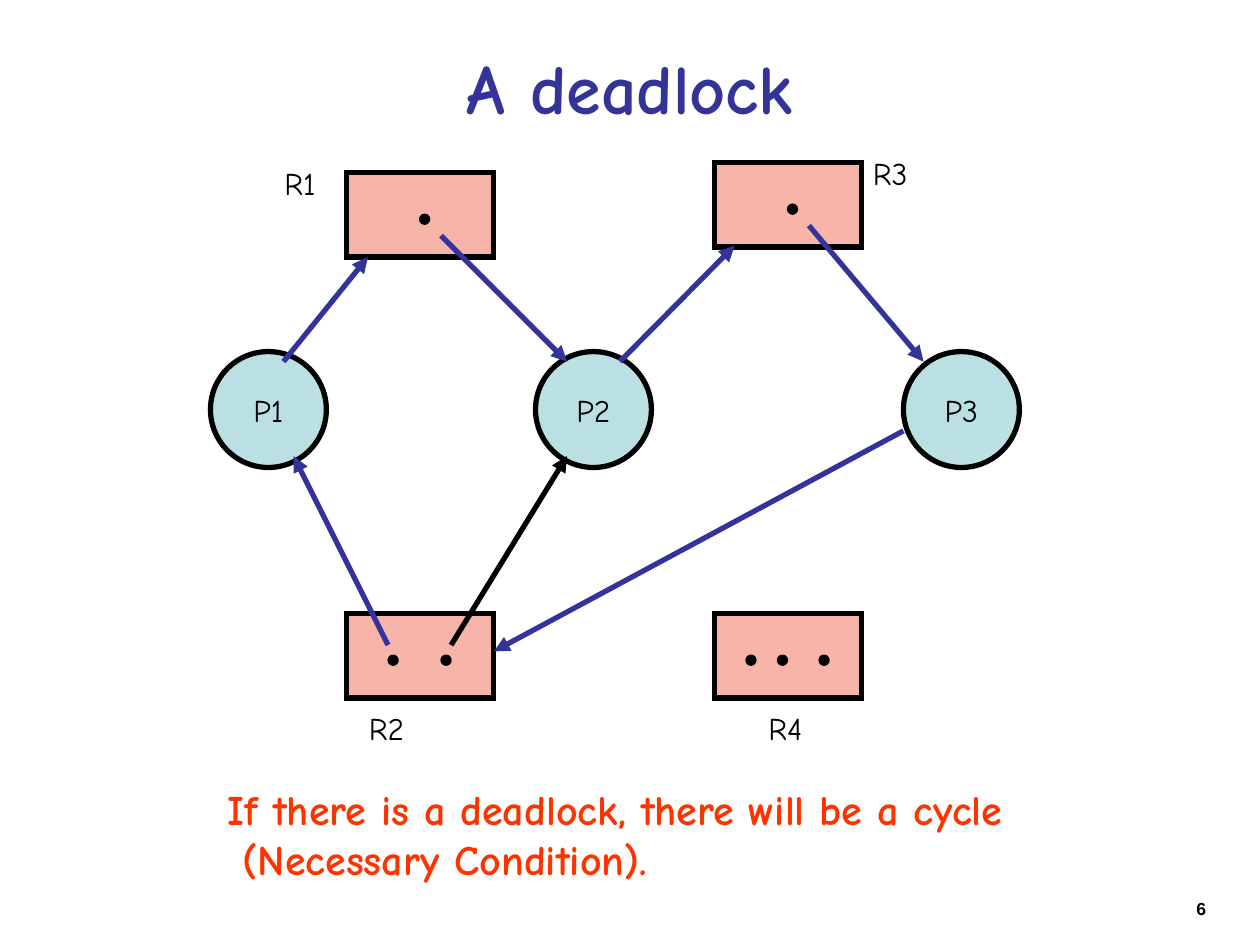
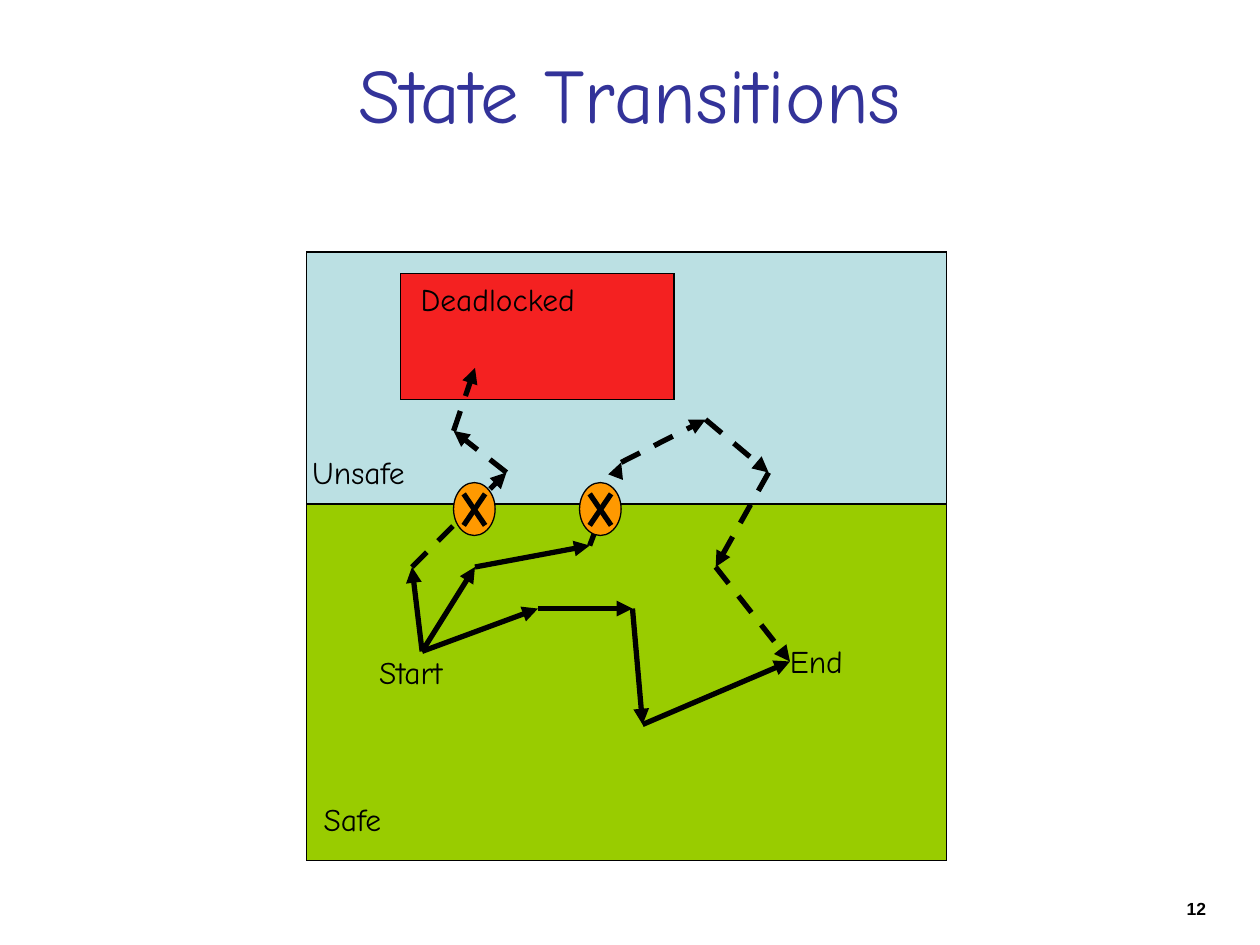
from itertools import pairwise
from pptx import Presentation
from pptx.dml.color import RGBColor
from pptx.enum.dml import MSO_LINE
from pptx.enum.shapes import MSO_CONNECTOR, MSO_SHAPE as SHAPE
from pptx.enum.text import MSO_ANCHOR, MSO_AUTO_SIZE, PP_ALIGN as ALIGN
from pptx.oxml.ns import qn
from pptx.util import Inches, Pt
from lxml.etree import SubElement

COLOURS = {"ink": "000000", "title": "333399", "process": "BBE0E3", "resource": "F6B5A8",
           "warning": "FF3300", "safe": "99CC00", "deadlock": "FF0000", "crossing": "FF9900"}
FONT = "Comic Neue"
THICK, THIN = 3, 0.74


def colour(name):
    """Return the named colour."""
    return RGBColor.from_string(COLOURS[name])


def write(paragraph, text, size, ink="ink", bold=False, font=FONT, align=None):
    """Add one formatted run to a paragraph."""
    paragraph.alignment = align
    run = paragraph.add_run()
    run.text = text
    run.font.name, run.font.size, run.font.bold = font, Pt(size), bold
    run.font.color.rgb = colour(ink)


def add_figure(slide, kind, left, top, width, height, fill, weight=THIN):
    """Draw a filled preset shape with a sharp-cornered black outline."""
    figure = slide.shapes.add_shape(kind, Inches(left), Inches(top), Inches(width), Inches(height))
    figure.shadow.inherit = False
    figure.fill.solid()
    figure.fill.fore_color.rgb = colour(fill)
    figure.line.color.rgb = colour("ink")
    figure.line.width = Pt(weight)
    SubElement(figure.line._get_or_add_ln(), qn("a:miter"), lim="800000")
    return figure


def add_stroke(slide, start, end, ink="ink", dashed=False, arrow=True):
    """Draw a thick straight line, with an arrowhead at its end if asked."""
    stroke = slide.shapes.add_connector(MSO_CONNECTOR.STRAIGHT, *map(Inches, (*start, *end)))
    stroke.line.color.rgb = colour(ink)
    stroke.line.width = Pt(THICK)
    if dashed:
        stroke.line.dash_style = MSO_LINE.DASH
    if arrow:
        SubElement(stroke.line._get_or_add_ln(), qn("a:tailEnd"), type="triangle")
    SubElement(stroke._element.spPr, qn("a:effectLst"))


def add_label(slide, left, top, width, lines, height=0.4, size=18, **style):
    """Place unwrapped lines of text."""
    label = slide.shapes.add_textbox(Inches(left), Inches(top), Inches(width), Inches(height))
    frame = label.text_frame
    frame.word_wrap = False
    frame.auto_size = MSO_AUTO_SIZE.SHAPE_TO_FIT_TEXT
    for index, line in enumerate(lines):
        paragraph = frame.add_paragraph() if index else frame.paragraphs[0]
        write(paragraph, line, size, **style)


def add_titled_slide(deck, title, height, size, bold, number):
    """Start a slide with its title and page number."""
    slide = deck.slides.add_slide(deck.slide_layouts[5])
    heading = slide.shapes.title
    heading.left, heading.top = Inches(0.5), Inches(0.3)
    heading.width, heading.height = Inches(9), Inches(height)
    heading.text_frame.auto_size = MSO_AUTO_SIZE.NONE
    heading.text_frame.vertical_anchor = MSO_ANCHOR.MIDDLE
    write(heading.text_frame.paragraphs[0], title, size, "title", bold, align=ALIGN.CENTER)
    page = slide.shapes.add_textbox(Inches(7.25), Inches(7.08), Inches(2.42), Inches(0.25))
    page.text_frame.word_wrap = True
    write(page.text_frame.paragraphs[0], number, 10, bold=True, font="Arial", align=ALIGN.RIGHT)
    return slide


def add_process(slide, left, top, name):
    """Draw a process as a named circle."""
    circle = add_figure(slide, SHAPE.OVAL, left, top, 0.92, 0.92, "process", THICK)
    circle.text_frame.word_wrap = False
    circle.text_frame.vertical_anchor = MSO_ANCHOR.MIDDLE
    write(circle.text_frame.paragraphs[0], name, 18, align=ALIGN.CENTER)


def add_resource(slide, left, top, name, name_dx, name_dy, instances):
    """Draw a resource as a box with one dot for each instance."""
    add_figure(slide, SHAPE.RECTANGLE, left, top, 1.17, 0.67, "resource", THICK)
    for dx in instances:
        add_figure(slide, SHAPE.OVAL, left + dx, top + 0.33, 0.08, 0.08, "ink")
    add_label(slide, left + name_dx, top + name_dy, 0.5, [name])


def add_allocation_graph(slide, left, top):
    """Draw the processes, the resources and the requests between them."""
    for name, x in (("P1", 0.17), ("P2", 2.75), ("P3", 5.67)):
        add_process(slide, left + x, top + 1.79, name)
    resources = (
        (1.25, 0.37, "R1", -0.59, -0.12, (0.58,)),
        (4.17, 0.29, "R3", 1.16, -0.12, (0.58,)),
        (1.25, 3.87, "R2", 0.08, 0.71, (0.33, 0.75)),
        (4.17, 3.87, "R4", 0.33, 0.71, (0.25, 0.5, 0.83)))
    for x, y, *details in resources:
        add_resource(slide, left + x, top + y, *details)
    edges = (
        (0.75, 1.87, 1.42, 1.04, "title"), (2, 0.87, 3, 1.87, "title"),
        (3.42, 1.87, 4.33, 0.95, "title"), (4.92, 0.79, 5.83, 1.87, "title"),
        (2.08, 4.12, 3, 2.62, "ink"), (1.58, 4.12, 0.83, 2.62, "title"),
        (5.67, 2.42, 2.42, 4.17, "title"))
    for x1, y1, x2, y2, ink in edges:
        add_stroke(slide, (left + x1, top + y1), (left + x2, top + y2), ink)


def add_trail(slide, left, top, stops, solid_steps):
    """Draw a chain of arrows, dashed after the solid steps."""
    points = [(left + x, top + y) for x, y in stops]
    for step, (start, end) in enumerate(pairwise(points)):
        add_stroke(slide, start, end, dashed=step >= solid_steps)


def add_crossing(slide, left, top):
    """Mark a forbidden crossing with an X in an oval."""
    add_figure(slide, SHAPE.OVAL, left, top, 0.33, 0.42, "crossing")
    for x1, x2 in ((0.08, 0.25), (0.25, 0.08)):
        add_stroke(slide, (left + x1, top + 0.09), (left + x2, top + 0.34), arrow=False)


def add_state_map(slide, left, top, width, height):
    """Draw the safe, unsafe and deadlocked regions and the trails through them."""
    border = 2
    add_figure(slide, SHAPE.RECTANGLE, left, top, width, height, "process")
    add_figure(slide, SHAPE.RECTANGLE, left, top + border, width, height - border, "safe")
    deadlock = add_figure(slide, SHAPE.RECTANGLE, left + 0.75, top + 0.17, 2.17, 1, "deadlock")
    tint = deadlock._element.spPr.find(qn("a:solidFill"))[0]
    SubElement(tint, qn("a:alpha"), val="85000")
    for name, x, y, name_width in (
            ("Safe", 0.04, 4.3, 0.66), ("Unsafe", -0.05, 1.55, 0.94),
            ("Deadlocked", 0.81, 0.17, 1.43), ("Start", 0.48, 3.13, 0.71),
            ("End", 3.74, 3.05, 0.62)):
        add_label(slide, left + x, top + y, name_width, [name])
    start, end = (0.92, 3.17), (3.84, 3.25)
    trails = (
        ((start, (1.84, 2.83), (2.59, 2.83), (2.67, 3.75), end), 4),
        ((start, (0.84, 2.5), (1.59, 1.75), (1.17, 1.42), (1.34, 0.92)), 1),
        ((start, (1.34, 2.5), (2.25, 2.33), (2.5, 1.67), (3.17, 1.33),
          (3.67, 1.75), (3.25, 2.5), end), 2))
    for stops, solid_steps in trails:
        add_trail(slide, left, top, stops, solid_steps)
    for x in (1.17, 2.17):
        add_crossing(slide, left + x, top + border - 0.17)


def main():
    """Build and save the two slides."""
    deck = Presentation()
    deck.slide_width, deck.slide_height = Inches(10), Inches(7.5)
    deadlock = add_titled_slide(deck, "A deadlock", 0.78, 40, True, "6")
    add_allocation_graph(deadlock, 1.5, 1)
    add_label(deadlock, 1.71, 6.17, 6.37,
              ["If there is a deadlock, there will be a cycle", " (Necessary Condition)."],
              height=0.9, size=24, ink="warning", bold=True)
    transitions = add_titled_slide(deck, "State Transitions", 0.87, 44, False, "12")
    add_state_map(transitions, 2.43, 2, 5.08, 4.83)
    deck.save("out.pptx")


main()
